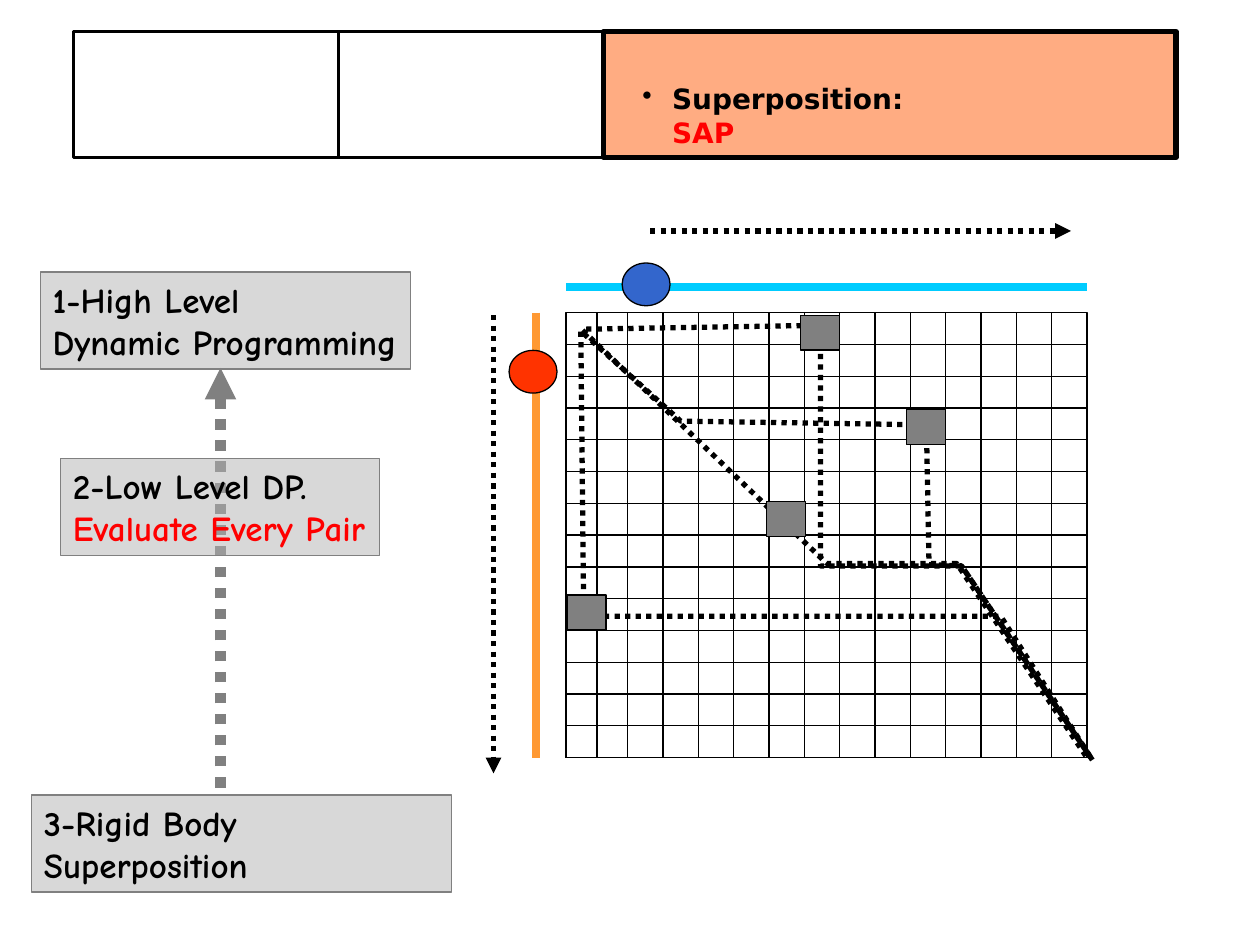
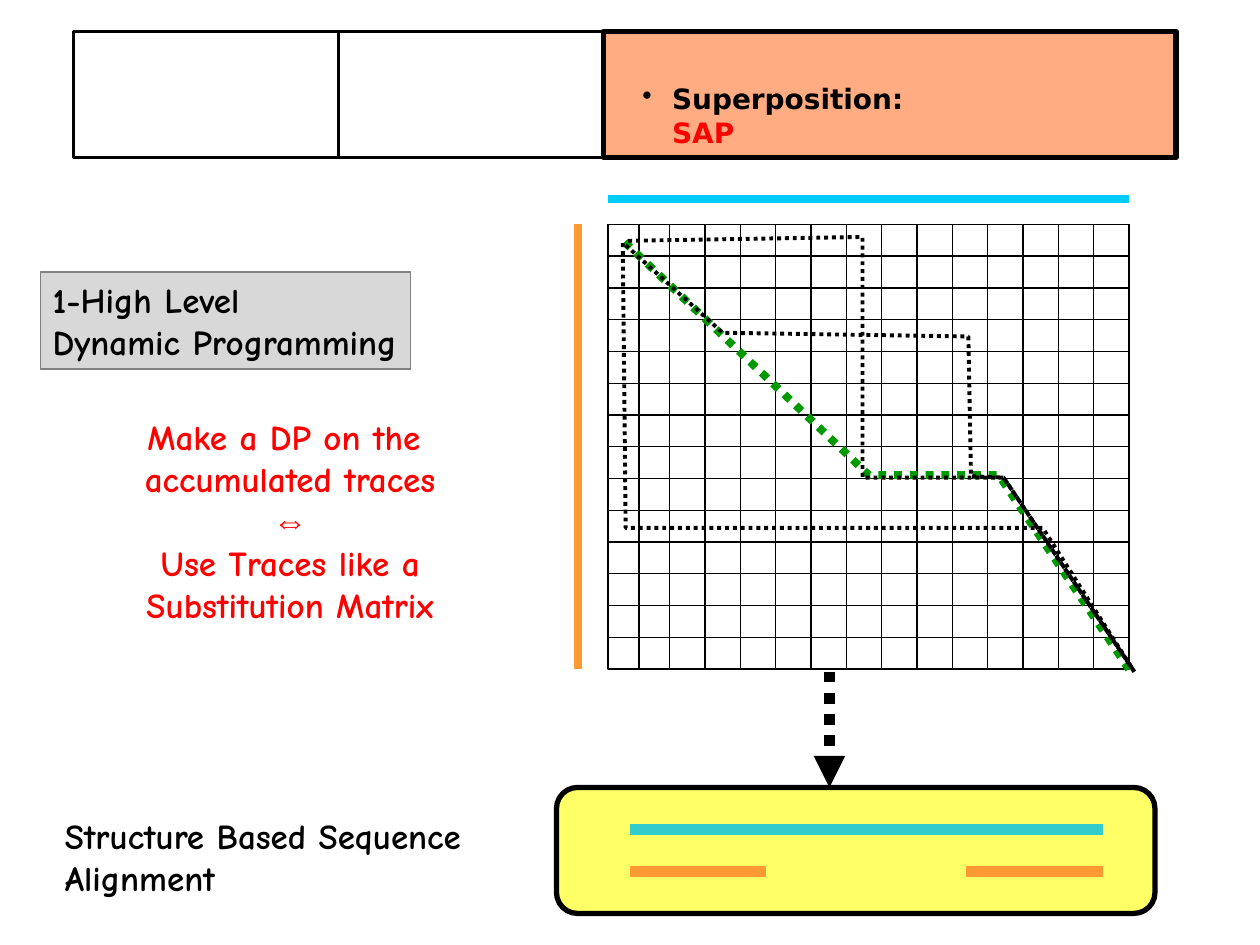
from lxml import etree
from pptx import Presentation
from pptx.dml.color import RGBColor
from pptx.enum.dml import MSO_LINE
from pptx.enum.shapes import MSO_CONNECTOR, MSO_SHAPE
from pptx.enum.text import MSO_ANCHOR, PP_ALIGN
from pptx.oxml.ns import qn
from pptx.util import Pt

BLACK = RGBColor(0x00, 0x00, 0x00)
GRAY = RGBColor(0x80, 0x80, 0x80)
SILVER = RGBColor(0xB2, 0xB2, 0xB2)
RED = RGBColor(0xFF, 0x00, 0x00)
SCARLET = RGBColor(0xFF, 0x33, 0x00)
ORANGE = RGBColor(0xFF, 0x99, 0x33)
CORAL = RGBColor(0xFF, 0x5A, 0x07)
YELLOW = RGBColor(0xFF, 0xFF, 0x66)
GREEN = RGBColor(0x00, 0x99, 0x00)
TEAL = RGBColor(0x33, 0xCC, 0xCC)
CYAN = RGBColor(0x00, 0xCC, 0xFF)
BLUE = RGBColor(0x33, 0x66, 0xCC)

STRAIGHT = MSO_CONNECTOR.STRAIGHT
RECTANGLE = MSO_SHAPE.RECTANGLE
ROUNDED = MSO_SHAPE.ROUNDED_RECTANGLE
OVAL = MSO_SHAPE.OVAL
DOTTED = MSO_LINE.ROUND_DOT
TOP = MSO_ANCHOR.TOP
LEFT = PP_ALIGN.LEFT
CENTER = PP_ALIGN.CENTER

BODY_FONT = "Comic Neue"
HEADER_FONT = "DejaVu Sans"
SYMBOL_FONT = "Arial"

GRID_WIDTH, GRID_HEIGHT = 297.6, 254.2
ROW_COUNT = 14
NARROW_COLUMNS, NARROW_WIDTH = 2, 17.6
WIDE_COLUMNS = 13

MAIN_TRACE = [(9.4, 10.1), (149, 143.3), (223.2, 143.3), (297.6, 254.2)]
LOWER_TRACE = [(8.4, 10.8), (10.1, 173.5), (248.4, 173.5), (300.7, 255.6)]
MIDDLE_TRACE = [(10.1, 12), (65.5, 62), (205.9, 64.1), (207.4, 144),
                (226, 144.7), (300.7, 255.6)]
UPPER_TRACE = [(11.5, 9.4), (145.4, 7.2), (145.4, 144.7), (226, 144.7),
               (300.7, 255.6)]
TRACE_PAIRS = [
    (MAIN_TRACE, (114.5, 108)),
    (LOWER_TRACE, (0.5, 161.3)),
    (MIDDLE_TRACE, (194.4, 55.4)),
    (UPPER_TRACE, (133.9, 1.4)),
]


def write(paragraph, text, font=BODY_FONT, size=20, color=BLACK, bold=True):
    """Append text to a paragraph, turning newlines into line breaks."""
    for index, line in enumerate(text.split("\n")):
        if index:
            paragraph.add_line_break()
        run = paragraph.add_run()
        run.text = line
        run.font.name = font
        run.font.size = Pt(size)
        run.font.bold = bold
        run.font.color.rgb = color


class Deck:
    """Hold the shared style and the slide being drawn."""

    def __init__(self):
        self.presentation = Presentation()
        self.presentation.slide_width = Pt(720)
        self.presentation.slide_height = Pt(540)
        self.slide = None

    def new_slide(self):
        """Start a blank slide."""
        self.slide = self.presentation.slides.add_slide(self.presentation.slide_layouts[6])

    def style_line(self, shape, color, width, dash=None):
        """Set the colour, width and dash of an outline."""
        shape.line.color.rgb = color
        shape.line.width = Pt(width)
        if dash:
            shape.line.dash_style = dash

    def box(self, left, top, width, height, kind=RECTANGLE, fill=None,
            alpha=None, line=BLACK, line_width=0.75):
        """Draw a preset shape."""
        shape = self.slide.shapes.add_shape(kind, Pt(left), Pt(top), Pt(width), Pt(height))
        shape.shadow.inherit = False
        self.style_line(shape, line, line_width)
        if fill is None:
            shape.fill.background()
            return shape
        shape.fill.solid()
        shape.fill.fore_color.rgb = fill
        if alpha:
            color = shape.element.spPr.find(qn("a:solidFill"))[0]
            etree.SubElement(color, qn("a:alpha"), val=str(alpha * 1000))
        return shape

    def line(self, start, end, color=BLACK, width=0.75, dash=None, arrow=False):
        """Draw a straight line, with an arrowhead at its end if asked."""
        connector = self.slide.shapes.add_connector(STRAIGHT, *map(Pt, start + end))
        self.style_line(connector, color, width, dash)
        properties = connector.element.spPr
        if arrow:
            etree.SubElement(properties.find(qn("a:ln")), qn("a:tailEnd"), type="triangle")
        etree.SubElement(properties, qn("a:effectLst"))
        return connector

    def trace(self, origin, points, color=BLACK, width=3):
        """Draw a dotted path whose points are measured from the grid corner."""
        corners = [(Pt(origin[0] + x), Pt(origin[1] + y)) for x, y in points]
        builder = self.slide.shapes.build_freeform(*corners[0])
        builder.add_line_segments(corners[1:], close=False)
        shape = builder.convert_to_shape()
        shape.shadow.inherit = False
        shape.fill.background()
        self.style_line(shape, color, width, DOTTED)

    def text(self, left, top, width, height):
        """Add a wrapping text box and return it."""
        shape = self.slide.shapes.add_textbox(Pt(left), Pt(top), Pt(width), Pt(height))
        shape.text_frame.word_wrap = True
        return shape

    def fill_text(self, shape, items, align=LEFT):
        """Write one paragraph for each pair of text and format."""
        frame = shape.text_frame
        frame.vertical_anchor = TOP
        for index, (text, style) in enumerate(items):
            paragraph = frame.add_paragraph() if index else frame.paragraphs[0]
            paragraph.alignment = align
            write(paragraph, text, **style)

    def step(self, left, top, width, items, wrap=False):
        """Draw a translucent gray box for one step of the method."""
        shape = self.box(left, top, width, 55.4, fill=SILVER, alpha=50, line=GRAY)
        shape.text_frame.word_wrap = wrap
        self.fill_text(shape, items)

    def high_level_step(self):
        """Draw the first step, which both slides show."""
        self.step(23, 155.5, 211.7, [("1-High Level \nDynamic Programming", {})])

    def header(self):
        """Draw the band of three cells with the topic in the last one."""
        for left in (42, 193.5):
            self.box(left, 18, 151.5, 72, line_width=1.5)
        self.box(345, 18, 327, 72, fill=CORAL, alpha=50, line_width=3)
        paragraph = self.text(360, 43.2, 188, 26.6).text_frame.paragraphs[0]
        properties = paragraph._p.get_or_add_pPr()
        properties.set("marL", str(Pt(17)))
        properties.set("indent", str(-Pt(17)))
        etree.SubElement(properties, qn("a:buChar"), char="•")
        write(paragraph, "Superposition:\n", font=HEADER_FONT, size=16)
        write(paragraph, "SAP", font=HEADER_FONT, size=16, color=RED)

    def matrix(self, left, top):
        """Draw the comparison grid with a sequence bar along two sides."""
        right, bottom = left + GRID_WIDTH, top + GRID_HEIGHT
        self.line((left, top - 14.6), (right, top - 14.6), CYAN, 4.5)
        self.line((left - 17, top), (left - 17, bottom), ORANGE, 4.5)
        frame = self.box(left, top, GRID_WIDTH, GRID_HEIGHT)
        for row in range(ROW_COUNT + 1):
            y = top + row * GRID_HEIGHT / ROW_COUNT
            connector = self.line((left, y), (right, y))
            if row * 2 == ROW_COUNT:
                connector.begin_connect(frame, 1)
                connector.end_connect(frame, 3)
        narrow_total = NARROW_COLUMNS * NARROW_WIDTH
        wide_width = (GRID_WIDTH - narrow_total) / WIDE_COLUMNS
        offsets = [column * NARROW_WIDTH for column in range(NARROW_COLUMNS)]
        offsets += [narrow_total + column * wide_width for column in range(WIDE_COLUMNS + 1)]
        for offset in offsets:
            self.line((left + offset, bottom), (left + offset, top))


def build_pair_evaluation(deck):
    """Build the slide that evaluates every pair."""
    deck.new_slide()
    deck.line((126, 450), (126, 210.2), GRAY, 6, DOTTED, arrow=True)
    deck.high_level_step()
    deck.header()
    deck.step(18, 454.3, 240, [("3-Rigid Body Superposition", {})], wrap=True)
    deck.step(34.6, 262.1, 182.2,
              [("2-Low Level DP.", {}), ("Evaluate Every Pair", {"color": RED})])
    left, top = 323.5, 178.7
    deck.matrix(left, top)
    for x, y, color in ((355.5, 150.3, BLUE), (290.9, 200.2, SCARLET)):
        deck.box(x, y, 27.4, 24.4, kind=OVAL, fill=color)
    deck.line((371.5, 132), (612, 132), width=3, dash=DOTTED, arrow=True)
    deck.line((282, 180), (282, 442), width=3, dash=DOTTED, arrow=True)
    for points, (x, y) in TRACE_PAIRS:
        deck.trace((left, top), points)
        deck.box(left + x, top + y, 22.3, 20, fill=GRAY)


def build_trace_alignment(deck):
    """Build the slide that aligns on the accumulated traces."""
    deck.new_slide()
    deck.box(318, 450, 342, 72, kind=ROUNDED, fill=YELLOW, line_width=3)
    deck.high_level_step()
    deck.header()
    origin = (347.5, 128.2)
    deck.matrix(*origin)
    deck.trace(origin, MAIN_TRACE, GREEN, 4.5)
    for points in (LOWER_TRACE, UPPER_TRACE, MIDDLE_TRACE):
        deck.trace(origin, points, width=2.25)
    for start, end, y, color in ((360, 630, 474, TEAL), (360, 438, 498, ORANGE),
                                 (552, 630, 498, ORANGE)):
        deck.line((start, y), (end, y), color, 6)
    deck.fill_text(deck.text(30, 462, 264, 55.4),
                   [("Structure Based Sequence Alignment", {})])
    deck.line((474, 384), (474, 450), width=6, dash=DOTTED, arrow=True)
    deck.fill_text(deck.text(60, 234, 211.7, 127.4), [
        ("Make a DP on the \naccumulated traces", {"color": RED}),
        ("⇔", {"color": RED, "font": SYMBOL_FONT}),
        ("Use Traces like a Substitution Matrix", {"color": RED}),
    ], align=CENTER)


def main():
    """Build both slides and save them."""
    deck = Deck()
    build_pair_evaluation(deck)
    build_trace_alignment(deck)
    deck.presentation.save("out.pptx")


if __name__ == "__main__":
    main()
